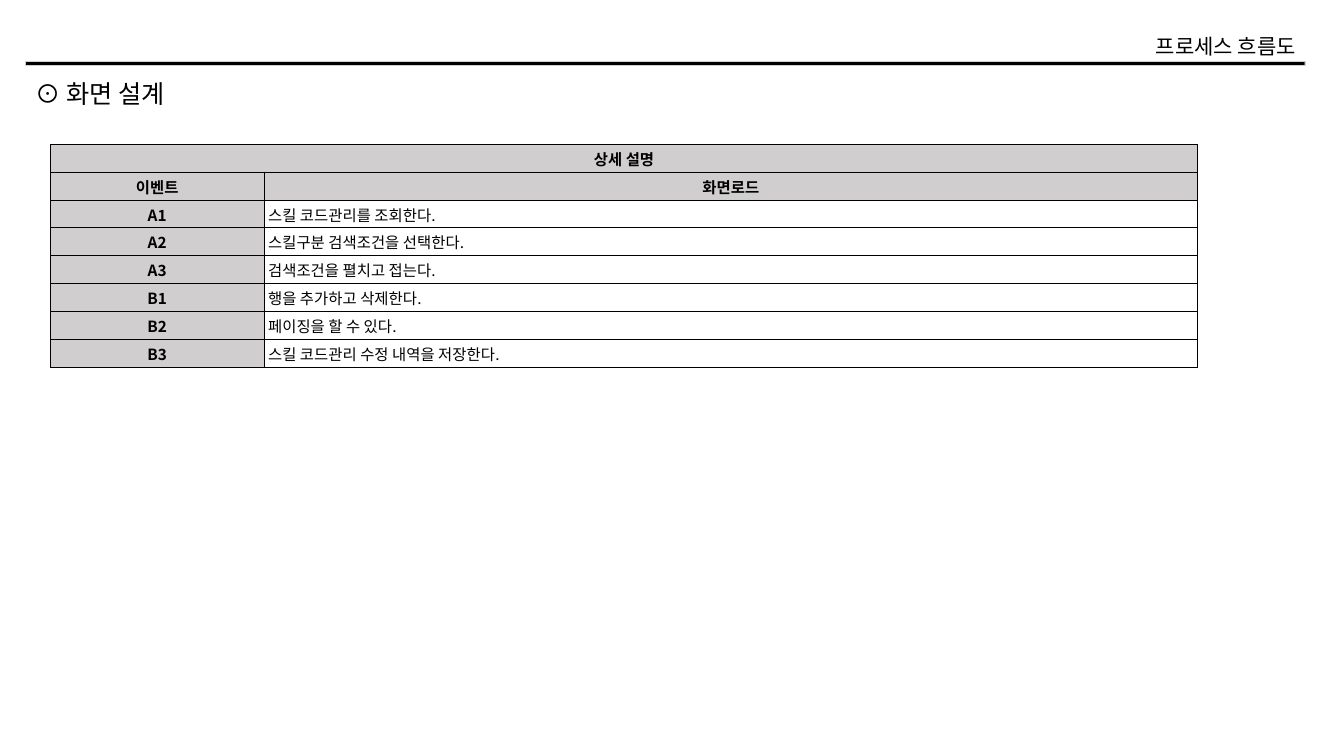
from lxml.etree import SubElement as Sub
from pptx import Presentation
from pptx.dml.color import RGBColor
from pptx.enum.shapes import MSO_SHAPE as Shape
from pptx.enum.text import MSO_ANCHOR as Anchor, MSO_AUTO_SIZE as Auto, PP_ALIGN as Align
from pptx.oxml import parse_xml
from pptx.oxml.ns import nsdecls, qn
from pptx.util import Inches, Pt

HEAD = "상세 설명"
ROWS = [
    ("이벤트", "화면로드"),
    ("A1", "스킬 코드관리를 조회한다."),
    ("A2", "스킬구분 검색조건을 선택한다."),
    ("A3", "검색조건을 펼치고 접는다."),
    ("B1", "행을 추가하고 삭제한다."),
    ("B2", "페이징을 할 수 있다."),
    ("B3", "스킬 코드관리 수정 내역을 저장한다."),
]


def tint(code):
    return RGBColor.from_string(code)


class Page:
    """One slide; lengths are percentages of its width and height."""
    font, ink, gray, white = "Noto Sans CJK KR", "000000", "D0CECE", "FFFFFF"

    def __init__(self, deck):
        self.wide, self.high = deck.slide_width, deck.slide_height
        self.shapes = deck.slides.add_slide(deck.slide_layouts[6]).shapes

    def across(self, share):
        return round(self.wide * share / 100)

    def down(self, share):
        return round(self.high * share / 100)

    def area(self, x, y, w, h):
        return self.across(x), self.down(y), self.across(w), self.down(h)

    def put(self, frame, text, size, align=Align.LEFT, bold=False):
        """Set the text of a frame and its style."""
        para = frame.paragraphs[0]
        para.text, para.alignment = text, align
        font = para.font
        font.size, font.bold, font.name = Pt(size), bold, self.font
        font.color.rgb = tint(self.ink)
        # Korean glyphs take the East Asian typeface
        props = para._p.get_or_add_pPr().find(qn("a:defRPr"))
        Sub(props, qn("a:ea")).set("typeface", self.font)

    def rule(self, *area):
        bar = self.shapes.add_shape(Shape.RECTANGLE, *self.area(*area))
        bar.shadow.inherit = False
        bar.fill.solid()
        bar.fill.fore_color.rgb = tint(self.ink)
        bar.line.color.rgb = tint(self.gray)
        bar.line.width = Pt(0.3)

    def label(self, text, size, *area, align=Align.LEFT):
        frame = self.shapes.add_textbox(*self.area(*area)).text_frame
        frame.word_wrap, frame.auto_size = False, Auto.SHAPE_TO_FIT_TEXT
        self.put(frame, text, size, align)

    def border(self, cell):
        props = cell._tc.get_or_add_tcPr()
        for spot, side in enumerate("LRTB"):
            props.insert(spot, parse_xml(
                f'<a:ln{side} {nsdecls("a")} w="{Pt(0.5)}"><a:solidFill>'
                f'<a:srgbClr val="{self.ink}"/></a:solidFill></a:ln{side}>'))

    def cell(self, cell, text, head):
        cell.fill.solid()
        cell.fill.fore_color.rgb = tint(self.gray if head else self.white)
        cell.vertical_anchor = Anchor.MIDDLE
        cell.margin_left = Inches(0.01 if head else 0.04)
        cell.margin_right = cell.margin_top = Inches(0.01)
        cell.margin_bottom = 0
        self.put(cell.text_frame, text, 11, Align.CENTER if head else Align.LEFT, head)
        self.border(cell)

    def table(self, title, rows, x, y, cols, step):
        """Draw a title across all columns, then a header row and the body."""
        count = len(rows) + 1
        area = self.area(x, y, sum(cols), step * count)
        table = self.shapes.add_table(count, len(cols), *area).table
        table.first_row = table.horz_banding = False
        for col, share in zip(table.columns, cols):
            col.width = self.across(share)
        for row in table.rows:
            row.height = self.down(step)
        blank = [""] * (len(cols) - 1)
        for r, texts in enumerate([(title, *blank), *rows]):
            for c, text in enumerate(texts):
                self.cell(table.cell(r, c), text, r < 2 or c == 0)
        table.cell(0, 0).merge(table.cell(0, len(cols) - 1))


def main():
    deck = Presentation()
    deck.slide_width, deck.slide_height = Inches(13.33), Inches(7.5)
    page = Page(deck)
    page.rule(1.88, 8.13, 95.2, 0.53)
    page.label("프로세스 흐름도", 15, 84.02, 3.73, 13.13, 4.67, align=Align.RIGHT)
    page.label("⊙ 화면 설계", 18, 1.88, 9.73, 12.23, 5.33)
    page.table(HEAD, ROWS, 3.75, 19.07, (15.9, 69.47), 3.69)
    deck.save("out.pptx")


if __name__ == "__main__":
    main()
